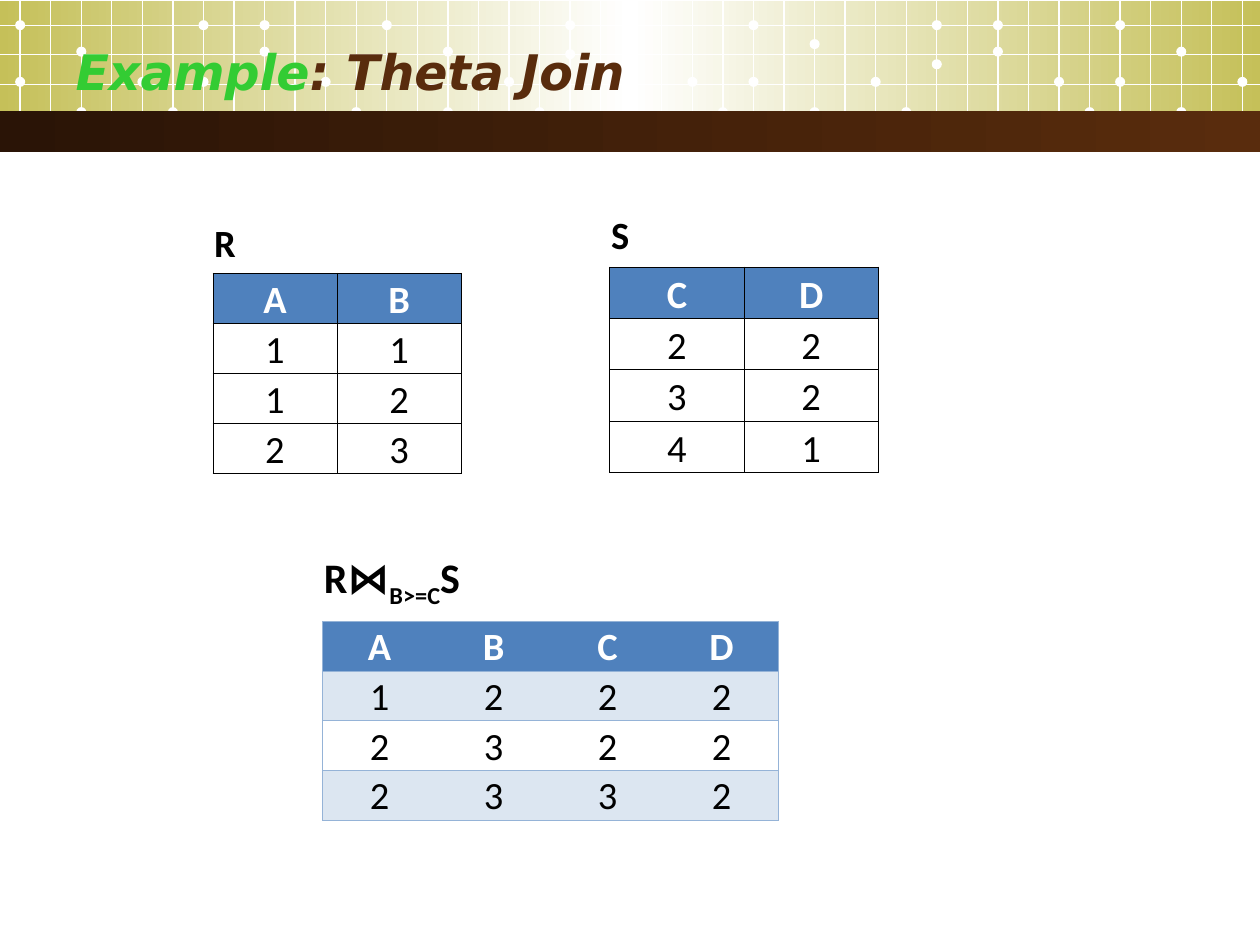
from dataclasses import dataclass
from typing import Optional

import pptx
import pptx.dml.color
import pptx.enum.shapes
import pptx.enum.text
import pptx.oxml
import pptx.oxml.ns
import pptx.util
from pptx.util import Inches

qn = pptx.oxml.ns.qn
Anchor = pptx.enum.text.MSO_ANCHOR
Align = pptx.enum.text.PP_ALIGN
Shape = pptx.enum.shapes.MSO_SHAPE

WHITE, BLACK, BROWN = "FFFFFF", "000000", "592C0D"
OLIVE, GREEN = "C5C059", "33CC33"
HEADER_BLUE, BAND_BLUE, EDGE_BLUE = "4F81BD", "DCE6F1", "95B3D7"
NO_STYLE = "{2D5ABB26-0587-4C30-8999-92F81FD0307C}"

GRID_COLUMNS, GRID_LEFT, GRID_STEP = 41, 0.16, 0.2425
GRID_ROWS = (0.2, 0.43, 0.67, 0.89)
DOT_SIZE = 0.08
# Dot tops by grid column; the pattern repeats every 12 columns.
DOT_PERIOD = 12
DOT_TOPS = {
    0: (0.61, 0.16), 2: (0.37, 0.85), 4: (0.61,), 5: (0.85,),
    6: (0.61, 0.16), 8: (0.37, 0.16), 10: (0.61,), 11: (0.85,),
}
DOT_EXCEPTIONS = {18: (0.39, 0.16), 26: (0.31, 0.85), 30: (0.47, 0.16)}


@dataclass
class Relation:
    """A table whose first row holds its caption; caption parts are (text, baseline)."""
    caption: list[tuple[str, int]]
    header: str
    rows: list[str]
    left: float
    top: float
    width: float
    height: float
    caption_height: float
    caption_size: int = 22
    caption_span: int = 1
    edge: str = BLACK
    inner_lines: bool = True
    band: Optional[str] = None


RELATIONS = [
    Relation([("R", 0)], "AB", ["11", "12", "23"], 1.69, 1.7, 1.97, 2.06, 0.47),
    Relation([("S", 0)], "CD", ["22", "32", "41"], 4.84, 1.62, 2.13, 2.13, 0.5),
    Relation([("R⋈", 0), ("B>=C", -25000), ("S", 0)], "ABCD",
             ["1222", "2322", "2332"], 2.56, 4.3, 3.62, 2.21, 0.63,
             caption_size=24, caption_span=3, edge=EDGE_BLUE,
             inner_lines=False, band=BAND_BLUE),
]


def rgb(color: str) -> pptx.dml.color.RGBColor:
    return pptx.dml.color.RGBColor.from_string(color)


def add_text(para, text: str, *, size: float, color: str = BLACK, font: str = "Calibri",
             bold: bool = False, italic: bool = False, baseline: int = 0) -> None:
    span = para.add_run()
    span.text = text
    span.font.name, span.font.size = font, pptx.util.Pt(size)
    span.font.bold, span.font.italic = bold, italic
    span.font.color.rgb = rgb(color)
    if baseline:
        span.font._element.set("baseline", str(baseline))


def add_filled(page, kind, left: float, top: float, width: float, height: float,
               colors: list[str]) -> None:
    """Add a borderless shape; several colours make an even left-to-right gradient."""
    shape = page.shapes.add_shape(kind, Inches(left), Inches(top),
                                  Inches(width), Inches(height))
    shape.shadow.inherit = False
    shape.line.fill.background()
    if len(colors) == 1:
        shape.fill.solid()
        shape.fill.fore_color.rgb = rgb(colors[0])
        return
    shape.fill.gradient()
    shape.fill.gradient_angle = 0
    stops = shape._element.spPr.find(".//" + qn("a:gsLst"))
    for stop in list(stops):
        stops.remove(stop)
    for index, color in enumerate(colors):
        stop = pptx.oxml.ns.qn("a:gs")
        element = stops.makeelement(stop, {"pos": str(100000 * index // (len(colors) - 1))})
        element.append(element.makeelement(qn("a:srgbClr"), {"val": color}))
        stops.append(element)


def add_grid_line(page, x1: float, y1: float, x2: float, y2: float) -> None:
    line = page.shapes.add_connector(pptx.enum.shapes.MSO_CONNECTOR.STRAIGHT,
                                     Inches(x1), Inches(y1), Inches(x2), Inches(y2))
    line.line.width = pptx.util.Pt(0.75)
    line.line.color.rgb = rgb(WHITE)
    properties = line._element.spPr
    properties.append(properties.makeelement(qn("a:effectLst"), {}))


def add_banner(page) -> None:
    add_filled(page, Shape.RECTANGLE, 0, 0.01, 10, 1.02, [OLIVE, WHITE, OLIVE])
    for column in range(GRID_COLUMNS):
        x = GRID_LEFT + column * GRID_STEP
        add_grid_line(page, x, 0, x, 1.1)
        tops = DOT_EXCEPTIONS.get(column, DOT_TOPS.get(column % DOT_PERIOD, ()))
        for top in tops:
            add_filled(page, Shape.OVAL, x - DOT_SIZE / 2, top, DOT_SIZE, DOT_SIZE, [WHITE])
    for y in GRID_ROWS:
        add_grid_line(page, 0, y, 10, y)
    add_filled(page, Shape.RECTANGLE, 0, 0.88, 10, 0.33, ["2A1406", BROWN])


def set_borders(cell, sides: str, color: str) -> None:
    """Draw the sides named by the letters L, R, T, B and clear the others."""
    properties = cell._tc.get_or_add_tcPr()
    for side in "LRTB":
        ink = f'<a:solidFill><a:srgbClr val="{color}"/></a:solidFill>'
        properties.append(pptx.oxml.parse_xml(
            f'<a:ln{side} {pptx.oxml.ns.nsdecls("a")} w="6350">'
            f'{ink if side in sides else "<a:noFill/>"}</a:ln{side}>'))


def format_cell(cell, sides: str, edge: str, fill: Optional[str], anchor) -> None:
    set_borders(cell, sides, edge)
    if fill:
        cell.fill.solid()
        cell.fill.fore_color.rgb = rgb(fill)
    else:
        cell.fill.background()
    cell.margin_left = cell.margin_right = cell.margin_top = Inches(0.01)
    cell.margin_bottom = 0
    cell.vertical_anchor = anchor


def add_relation(page, relation: Relation) -> None:
    lines = [relation.header, *relation.rows]
    count = len(relation.header)
    table = page.shapes.add_table(
        len(lines) + 1, count, Inches(relation.left), Inches(relation.top),
        Inches(relation.width), Inches(relation.height)).table
    table.first_row = table.horz_banding = False
    table._tbl.tblPr.find(qn("a:tableStyleId")).text = NO_STYLE
    for column in table.columns:
        column.width = Inches(relation.width / count)
    for row in table.rows:
        row.height = Inches((relation.height - relation.caption_height) / len(lines))
    table.rows[0].height = Inches(relation.caption_height)

    for index in range(count):
        format_cell(table.cell(0, index), "B", relation.edge, None, Anchor.MIDDLE)
    caption = table.cell(0, 0)
    if relation.caption_span > 1:
        caption.merge(table.cell(0, relation.caption_span - 1))
    for text, baseline in relation.caption:
        add_text(caption.text_frame.paragraphs[0], text, size=relation.caption_size,
                 bold=True, baseline=baseline)

    for number, values in enumerate(lines, start=1):
        is_header = number == 1
        fill = HEADER_BLUE if is_header else relation.band if number % 2 == 0 else None
        for index, value in enumerate(values):
            sides = "TB"
            if relation.inner_lines or index == 0:
                sides += "L"
            if relation.inner_lines or index == count - 1:
                sides += "R"
            cell = table.cell(number, index)
            format_cell(cell, sides, relation.edge, fill, Anchor.BOTTOM)
            para = cell.text_frame.paragraphs[0]
            para.alignment = Align.CENTER
            add_text(para, value, size=22, bold=is_header,
                     color=WHITE if is_header else BLACK)


def add_title(page) -> None:
    title = page.shapes.title
    page.shapes._spTree.append(title._element)  # bring in front of the banner
    title.left, title.top = Inches(0.5), Inches(0.25)
    title.width, title.height = Inches(8.08), Inches(0.62)
    frame = title.text_frame
    frame.auto_size = pptx.enum.text.MSO_AUTO_SIZE.NONE
    frame.vertical_anchor = Anchor.MIDDLE
    para = frame.paragraphs[0]
    para.alignment = Align.LEFT
    for text, color in (("Example", GREEN), (": Theta Join", BROWN)):
        add_text(para, text, size=28, color=color, font="DejaVu Sans", bold=True, italic=True)


def main() -> None:
    deck = pptx.Presentation()
    deck.slide_width, deck.slide_height = Inches(10), Inches(7.5)
    page = deck.slides.add_slide(deck.slide_layouts[5])
    add_banner(page)
    add_title(page)
    for relation in RELATIONS:
        add_relation(page, relation)
    deck.save("out.pptx")


if __name__ == "__main__":
    main()
